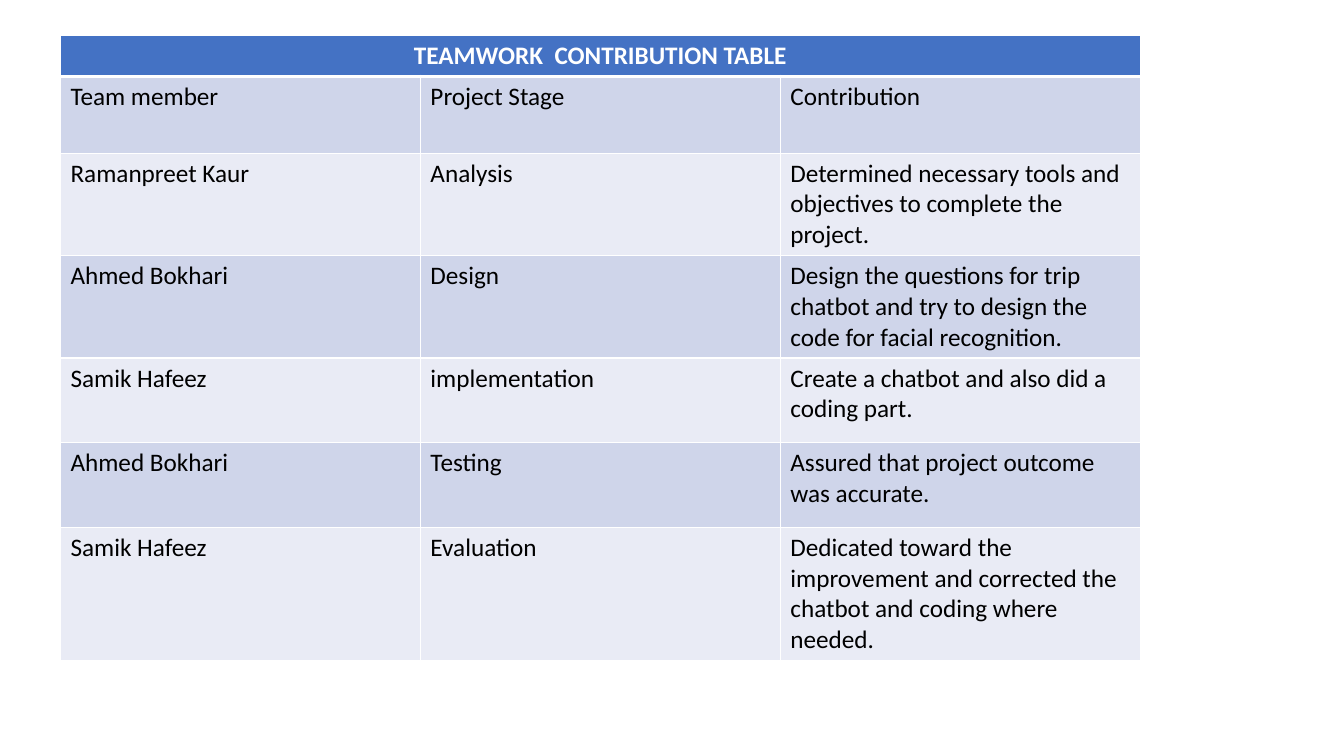
"""Build the teamwork contribution table slide."""
from lxml import etree
from pptx import Presentation
from pptx.dml.color import RGBColor
from pptx.enum.text import PP_ALIGN
from pptx.oxml.ns import qn
from pptx.util import Inches, Pt

CENTER, LEFT = PP_ALIGN.CENTER, PP_ALIGN.LEFT
WHITE = RGBColor(0xFF, 0xFF, 0xFF)
BLACK = RGBColor(0x00, 0x00, 0x00)
BLUE = RGBColor(0x44, 0x72, 0xC4)
BANDS = (RGBColor(0xE9, 0xEB, 0xF5), RGBColor(0xCF, 0xD5, 0xEA))
FONT = "Calibri"
TITLE = "TEAMWORK  CONTRIBUTION TABLE"
COL_WIDTH = 3.57
ROW_HEIGHTS = [0.41, 0.76] + [0.84] * 5
ROWS = [
    ("Team member", "Project Stage", "Contribution"),
    ("Ramanpreet Kaur", "Analysis",
     "Determined necessary tools and objectives to complete the project."),
    ("Ahmed Bokhari", "Design",
     "Design the questions for trip chatbot and try to design the code for facial recognition."),
    ("Samik Hafeez", "implementation",
     "Create a chatbot and also did a coding part."),
    ("Ahmed Bokhari", "Testing",
     "Assured that project outcome was accurate."),
    ("Samik Hafeez", "Evaluation",
     "Dedicated toward the improvement and corrected the chatbot and coding where needed."),
]


def set_borders(cell, top=1, bottom=1):
    """Give the cell white borders with widths in points."""
    tc_pr = cell._tc.get_or_add_tcPr()
    for side, width in (("L", 1), ("R", 1), ("T", top), ("B", bottom)):
        ln = etree.SubElement(tc_pr, qn(f"a:ln{side}"), w=str(Pt(width)))
        fill = etree.SubElement(ln, qn("a:solidFill"))
        etree.SubElement(fill, qn("a:srgbClr"), val=str(WHITE))


def style_cell(cell, fill, top=1, bottom=1):
    """Set the borders and fill of a cell."""
    set_borders(cell, top, bottom)
    cell.fill.solid()
    cell.fill.fore_color.rgb = fill


def write_cell(cell, text, color, bold=False, align=LEFT):
    """Write one run of text in a cell."""
    p = cell.text_frame.paragraphs[0]
    p.alignment = align
    r = p.add_run()
    r.text = text
    r.font.name = FONT
    r.font.size = Pt(18)
    r.font.bold = bold
    r.font.color.rgb = color


def add_contribution_table(s):
    """Add the table with its merged title row and banded body."""
    n_cols = len(ROWS[0])
    table = s.shapes.add_table(
        len(ROW_HEIGHTS), n_cols, Inches(0.6), Inches(0.35),
        Inches(COL_WIDTH * n_cols), Inches(sum(ROW_HEIGHTS))).table
    for col in table.columns:
        col.width = Inches(COL_WIDTH)
    for row, height in zip(table.rows, ROW_HEIGHTS):
        row.height = Inches(height)
    for cell in table.rows[0].cells:
        style_cell(cell, BLUE, bottom=3)
    title = table.cell(0, 0)
    title.merge(table.cell(0, n_cols - 1))
    write_cell(title, TITLE, WHITE, True, CENTER)
    for i, texts in enumerate(ROWS, 1):
        for j, text in enumerate(texts):
            cell = table.cell(i, j)
            style_cell(cell, BANDS[i % 2], top=3 if i == 1 else 1)
            write_cell(cell, text, BLACK)


def main():
    """Build and save the slide."""
    prs = Presentation()
    prs.slide_width, prs.slide_height = Inches(13.33), Inches(7.5)
    s = prs.slides.add_slide(prs.slide_layouts[6])
    add_contribution_table(s)
    prs.save("out.pptx")


if __name__ == "__main__":
    main()
